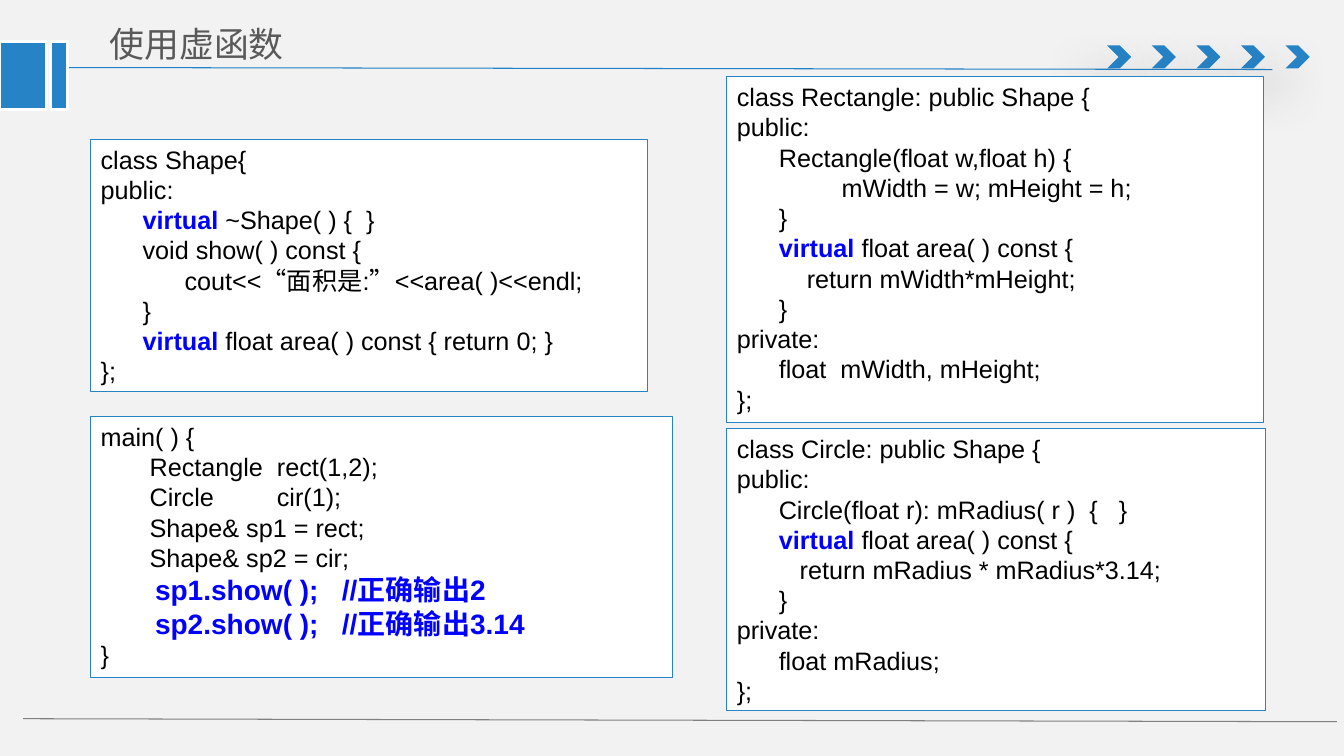
from lxml.etree import SubElement
from pptx import Presentation
from pptx.dml.color import RGBColor
from pptx.enum.shapes import MSO_CONNECTOR, MSO_SHAPE
from pptx.enum.text import MSO_ANCHOR, PP_ALIGN
from pptx.oxml import parse_xml
from pptx.oxml.ns import nsdecls, qn
from pptx.util import Inches, Pt

COLORS = {name: RGBColor.from_string(value) for name, value in {
    "background": "F2F2F2", "accent": "2683C6", "header_line": "2181C6",
    "footer_line": "808080", "title": "595959", "code": "000000",
    "keyword": "0000FF", "white": "FFFFFF",
}.items()}

CODE_FORMAT = {"name": "Arial", "size": Pt(18), "bold": False}
KEYWORD_FORMAT = {"name": "Arial", "size": Pt(18), "bold": True}
CALL_FORMAT = {"name": "Arial", "size": Pt(20), "bold": True}
TITLE_FORMAT = {"name": "Arial", "size": Pt(24.9), "bold": False}

CODE_BOXES = [
    ((0.9, 1.38, 5.52, 2.5), """class Shape{
public:
      virtual ~Shape( ) {  }
      void show( ) const {
            cout<<“面积是:”<<area( )<<endl;
      }
      virtual float area( ) const { return 0; }
};"""),
    ((7.21, 0.76, 5.32, 3.43), """class Rectangle: public Shape {
public:
      Rectangle(float w,float h) {
               mWidth = w; mHeight = h;
      }
      virtual float area( ) const {
          return mWidth*mHeight;
      }
private:
      float  mWidth, mHeight;
};"""),
    ((7.21, 4.25, 5.34, 2.8), """class Circle: public Shape {
public:
      Circle(float r): mRadius( r )  {   }
      virtual float area( ) const {
         return mRadius * mRadius*3.14;
      }
private:
      float mRadius;
};"""),
    ((0.9, 4.13, 5.77, 2.59), """main( ) {
       Rectangle  rect(1,2);
       Circle         cir(1);
       Shape& sp1 = rect;
       Shape& sp2 = cir;
       sp1.show( );   //正确输出2
       sp2.show( );   //正确输出3.14
}"""),
]


def add_block(kind, box, fill, line=None, width=0.75):
    shape = slide.shapes.add_shape(kind, *[Inches(length) for length in box])
    shape.shadow.inherit = False
    shape.fill.solid()
    shape.fill.fore_color.rgb = COLORS[fill]
    if line:
        shape.line.color.rgb = COLORS[line]
        shape.line.width = Pt(width)
    else:
        shape.line.fill.background()
    return shape


def add_run(paragraph, text, format_values, color):
    run = paragraph.add_run()
    run.text = text
    for attribute, value in format_values.items():
        setattr(run.font, attribute, value)
    run.font.color.rgb = COLORS[color]


presentation = Presentation()
presentation.slide_width = Inches(13.33)
presentation.slide_height = Inches(7.5)
slide = presentation.slides.add_slide(presentation.slide_layouts[5])
slide.background.fill.solid()
slide.background.fill.fore_color.rgb = COLORS["background"]

for ends, color in [
    ((0.53, 0.67, 12.62, 0.69), "header_line"),
    ((0.23, 7.13, 13.26, 7.16), "footer_line"),
]:
    rule = slide.shapes.add_connector(
        MSO_CONNECTOR.STRAIGHT, *[Inches(length) for length in ends])
    rule.line.color.rgb = COLORS[color]
    rule.line.width = Pt(0.75)
    SubElement(rule.element.spPr, qn("a:effectLst"))

for index in range(5):
    chevron = add_block(
        MSO_SHAPE.CHEVRON, (10.98 + 0.4425 * index, 0.45, 0.24, 0.23), "accent")
    effects = chevron.element.spPr.find(qn("a:effectLst"))
    effects.append(parse_xml(
        f'<a:outerShdw {nsdecls("a")} blurRad="{Pt(36)}" dist="{Pt(24)}" '
        f'dir="{130 * 60000}" rotWithShape="0"><a:srgbClr val="000000">'
        '<a:alpha val="38000"/></a:srgbClr></a:outerShdw>'))

for left, width in [(0, 0.46), (0.5, 0.17)]:
    add_block(MSO_SHAPE.RECTANGLE, (left, 0.41, width, 0.68), "accent", "white", 2)

title = slide.shapes.title
title.left, title.top = Inches(0.99), Inches(0.14)
title.width, title.height = Inches(4.63), Inches(0.55)
title.text_frame.vertical_anchor = MSO_ANCHOR.BOTTOM
title_paragraph = title.text_frame.paragraphs[0]
title_paragraph.alignment = PP_ALIGN.LEFT
add_run(title_paragraph, "使用虚函数", TITLE_FORMAT, "title")

for box, code in CODE_BOXES:
    code_box = add_block(MSO_SHAPE.RECTANGLE, box, "white", "accent")
    text_frame = code_box.text_frame
    text_frame.word_wrap = True
    text_frame.vertical_anchor = MSO_ANCHOR.TOP
    for index, code_line in enumerate(code.split("\n")):
        paragraph = text_frame.add_paragraph() if index else text_frame.paragraphs[0]
        paragraph.alignment = PP_ALIGN.LEFT
        if ".show( )" in code_line:
            add_run(paragraph, code_line, CALL_FORMAT, "keyword")
            continue
        before, keyword, after = code_line.partition("virtual ")
        if keyword:
            add_run(paragraph, before, CODE_FORMAT, "code")
            add_run(paragraph, keyword, KEYWORD_FORMAT, "keyword")
        add_run(paragraph, after if keyword else before, CODE_FORMAT, "code")

presentation.save("out.pptx")
